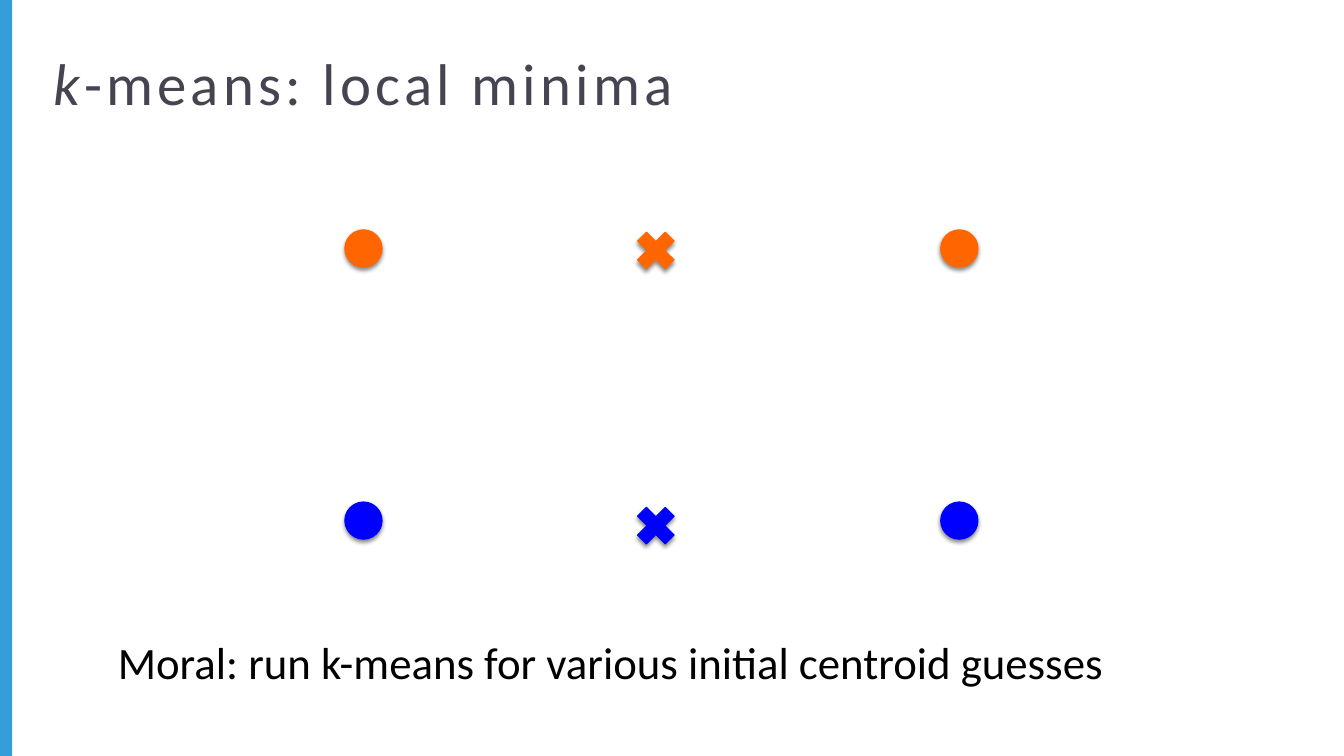
from lxml import etree
from pptx import Presentation
from pptx.dml.color import RGBColor
from pptx.enum.shapes import MSO_SHAPE as Shape
from pptx.enum.text import MSO_ANCHOR as Anchor
from pptx.oxml import parse_xml
from pptx.oxml.ns import nsdecls, qn
from pptx.util import Inches, Pt

ACCENT = RGBColor(0x35, 0x9E, 0xD8)
TITLE_GRAY = RGBColor(0x45, 0x45, 0x51)
ORANGE = RGBColor(0xFF, 0x66, 0x00)
BLUE = RGBColor(0x00, 0x00, 0xFF)
BLACK = RGBColor(0x00, 0x00, 0x00)

POINT_SIZE, CENTROID_SIZE = 0.37, 0.53
POINT_LEFTS = (3.42, 9.33)
CENTROID_LEFT = 6.24
# Colour, top of the points, top of the centroid
CLUSTERS = ((BLUE, 4.98, 4.95), (ORANGE, 2.28, 2.22))


def add_shadow(shape):
    shape._element.spPr.append(parse_xml(
        f'<a:effectLst {nsdecls("a")}>'
        f'<a:outerShdw blurRad="{Pt(3)}" dist="{Pt(2)}" dir="5400000" rotWithShape="0">'
        '<a:srgbClr val="000000"><a:alpha val="45000"/></a:srgbClr>'
        '</a:outerShdw></a:effectLst>'))


def add_marker(slide, kind, left, top, size, color):
    marker = slide.shapes.add_shape(
        kind, Inches(left), Inches(top), Inches(size), Inches(size))
    marker.fill.solid()
    marker.fill.fore_color.rgb = color
    marker.line.color.rgb = color
    marker.line.width = Pt(0.75)
    add_shadow(marker)


def add_side_bar(slide, height):
    bar = slide.shapes.add_shape(Shape.RECTANGLE, 0, 0, Inches(0.12), height)
    bar.shadow.inherit = False
    bar.fill.solid()
    bar.fill.fore_color.rgb = ACCENT
    bar.line.fill.background()


def add_text(slide, left, top, width, height, spans, size, color, spacing=0):
    """Write one paragraph from (text, italic) spans."""
    box = slide.shapes.add_textbox(
        Inches(left), Inches(top), Inches(width), Inches(height))
    frame = box.text_frame
    frame.vertical_anchor = Anchor.TOP
    para = frame.paragraphs[0]
    for text, italic in spans:
        span = para.add_run()
        span.text = text
        span.font.name = "Calibri"
        span.font.size = Pt(size)
        span.font.italic = italic
        span.font.color.rgb = color
        if spacing:
            span.font._element.set("spc", str(spacing * 100))
    return frame


def main():
    deck = Presentation()
    deck.slide_width, deck.slide_height = Inches(13.33), Inches(7.5)
    slide = deck.slides.add_slide(deck.slide_layouts[6])

    # Side bar and title
    add_side_bar(slide, deck.slide_height)
    title = add_text(slide, 0.43, 0.37, 11.74, 1.08,
                     (("k", True), ("-means: local minima", False)),
                     42, TITLE_GRAY, spacing=3)
    title.word_wrap = True
    title.margin_top = Inches(0.09)

    # Two clusters, each with its points and centroid
    for color, point_top, centroid_top in CLUSTERS:
        for left in POINT_LEFTS:
            add_marker(slide, Shape.OVAL, left, point_top, POINT_SIZE, color)
        add_marker(slide, Shape.MATH_MULTIPLY, CENTROID_LEFT, centroid_top,
                   CENTROID_SIZE, color)

    # Moral
    moral = "Moral: run k-means for various initial centroid guesses"
    add_text(slide, 1.07, 6.25, 10.34, 0.64, ((moral, False),), 32, BLACK)

    deck.save("out.pptx")


if __name__ == "__main__":
    main()
